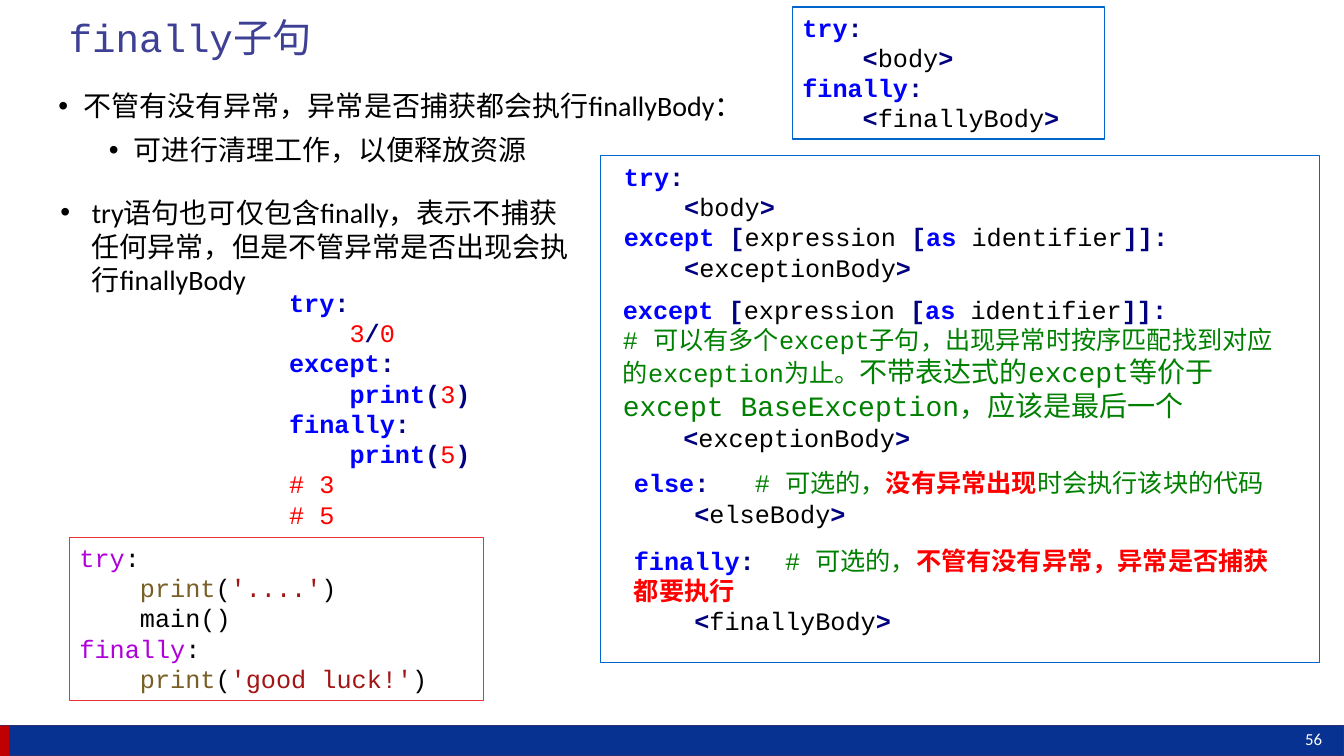
"""Build a slide that explains the finally clause of Python."""
import pptx
import pptx.dml.color
import pptx.enum.shapes
import pptx.enum.text
import pptx.oxml
import pptx.oxml.ns
import pptx.util

Pt = pptx.util.Pt
RGBColor = pptx.dml.color.RGBColor
RECTANGLE = pptx.enum.shapes.MSO_SHAPE.RECTANGLE
ANCHOR = pptx.enum.text.MSO_ANCHOR
LEFT = pptx.enum.text.PP_ALIGN.LEFT
AUTO_SIZE = pptx.enum.text.MSO_AUTO_SIZE

WHITE = RGBColor(0xFF, 0xFF, 0xFF)
BLACK = RGBColor(0x00, 0x00, 0x00)
BLUE = RGBColor(0x00, 0x00, 0xFF)
NAVY = RGBColor(0x00, 0x00, 0x80)
GREEN = RGBColor(0x00, 0x80, 0x00)
RED = RGBColor(0xFF, 0x00, 0x00)
PURPLE = RGBColor(0xAF, 0x00, 0xDB)
BROWN = RGBColor(0x79, 0x5E, 0x26)
MAROON = RGBColor(0xA3, 0x15, 0x15)
INDIGO = RGBColor(0x3E, 0x40, 0x95)
FRAME_BLUE = RGBColor(0x00, 0x66, 0xCC)
FRAME_RED = RGBColor(0xED, 0x32, 0x37)
BAR_BLUE = RGBColor(0x07, 0x32, 0x91)
BAR_EDGE = RGBColor(0x2E, 0x2F, 0x6E)
ACCENT_RED = RGBColor(0xC0, 0x00, 0x00)

CODE = {"name": "Courier New", "size": Pt(18), "bold": False}
BOLD = CODE | {"bold": True}
PROSE = {"name": "Calibri", "size": Pt(20)}
STYLES = {
    "plain": (BLACK, CODE),
    "keyword": (BLUE, BOLD),
    "mark": (NAVY, BOLD),
    "note": (GREEN, CODE),
    "large note": (GREEN, CODE | {"size": Pt(20)}),
    "alert": (RED, BOLD),
    "value": (RED, CODE),
    "control": (PURPLE, CODE),
    "call": (BROWN, CODE),
    "string": (MAROON, CODE),
    "prose": (BLACK, PROSE),
    "title": (INDIGO, CODE | {"size": Pt(28)}),
    "page": (WHITE, PROSE | {"size": Pt(12)}),
}


def write(frame, lines, anchor=ANCHOR.TOP, fit=AUTO_SIZE.SHAPE_TO_FIT_TEXT):
    for attribute, value in {"word_wrap": True, "vertical_anchor": anchor, "auto_size": fit}.items():
        setattr(frame, attribute, value)
    for number, line in enumerate(lines):
        paragraph = frame.add_paragraph() if number else frame.paragraphs[0]
        paragraph.alignment = LEFT
        for style, words in line:
            run = paragraph.add_run()
            run.text = words
            color, formats = STYLES[style]
            run.font.color.rgb = color
            for attribute, value in formats.items():
                setattr(run.font, attribute, value)


def slot(name):
    return [("plain", "    "), ("mark", "<"), ("plain", name), ("mark", ">")]


deck = pptx.Presentation()
deck.slide_width, deck.slide_height = Pt(960), Pt(540)
slide = deck.slides.add_slide(deck.slide_layouts[5])

title = slide.shapes.title
title.left, title.top, title.width, title.height = Pt(41.8), Pt(2.9), Pt(882), Pt(50.4)
write(title.text_frame, [[("title", "finally子句")]], ANCHOR.MIDDLE, AUTO_SIZE.NONE)
title.text_frame.paragraphs[0].line_spacing = 0.9

try_line = [("keyword", "try"), ("mark", ":")]
finally_line = [("keyword", "finally"), ("mark", ":")]
except_line = [
    ("keyword", "except "), ("mark", "["), ("plain", "expression "), ("mark", "["),
    ("keyword", "as"), ("plain", " identifier"), ("mark", "]]:"),
]
short_syntax = [try_line, slot("body"), finally_line, slot("finallyBody")]
try_clause = [try_line, slot("body"), except_line, slot("exceptionBody")]
except_clause = [
    except_line,
    [("note", "# 可以有多个except子句，出现异常时按序匹配找到对应的exception为止。"),
     ("large note", "不带表达式的except等价于except BaseException，应该是最后一个")],
    slot("exceptionBody"),
]
else_clause = [
    [("keyword", "else"), ("mark", ":   "), ("note", "# 可选的，"),
     ("alert", "没有异常出现"), ("note", "时会执行该块的代码")],
    slot("elseBody"),
]
finally_clause = [
    [("keyword", "finally"), ("mark", ":  "), ("note", "# 可选的，"),
     ("alert", "不管有没有异常，异常是否捕获都要执行")],
    slot("finallyBody"),
]
print_3, print_5 = [
    [("plain", "    "), ("keyword", "print"), ("mark", "("), ("value", digit), ("mark", ")")]
    for digit in "35"
]
division_example = [
    try_line,
    [("plain", "    "), ("value", "3"), ("mark", "/"), ("value", "0")],
    [("keyword", "except"), ("mark", ":")],
    print_3,
    finally_line,
    print_5,
    [("value", "# 3")],
    [("value", "# 5")],
]
print_dots, print_luck = [
    [("plain", "    "), ("call", "print"), ("plain", "("), ("string", literal), ("plain", ")")]
    for literal in ("'....'", "'good luck!'")
]
main_example = [
    [("control", "try"), ("plain", ":")],
    print_dots,
    [("plain", "    main()")],
    [("control", "finally"), ("plain", ":")],
    print_luck,
]

panels = [
    ((0, 518.4, 960, 21.6), BAR_BLUE, BAR_EDGE, []),
    ((0, 518.4, 6.5, 21.6), ACCENT_RED, None, []),
    ((566, 5, 223.2, 94.3), WHITE, FRAME_BLUE, short_syntax),
    ((429, 111, 513.4, 362.2), WHITE, FRAME_BLUE, []),
    ((49.7, 383.8, 295.9, 116.6), WHITE, FRAME_RED, main_example),
]
for place, fill, edge, lines in panels:
    panel = slide.shapes.add_shape(RECTANGLE, *map(Pt, place))
    panel.shadow.inherit = False
    panel.fill.solid()
    panel.fill.fore_color.rgb = fill
    if edge is None:
        panel.line.fill.background()
    else:
        panel.line.color.rgb = edge
        panel.line.width = Pt(1)
    if lines:
        write(panel.text_frame, lines)

passages = [
    ((438.5, 111.6, 446.4, 94.3), try_clause),
    ((437.8, 206.6, 480.2, 121), except_clause),
    ((445.7, 330.5, 480.2, 51.1), else_clause),
    ((445.7, 385.9, 480.2, 72.7), finally_clause),
    ((199.4, 201.6, 176.4, 181.4), division_example),
    ((925.2, 517, 34.8, 21.6), [[("page", "56")]]),
]
for place, lines in passages:
    passage = slide.shapes.add_textbox(*map(Pt, place))
    write(passage.text_frame, lines)

bullet_lists = [
    ((34.6, 57.6, 889.2, 442), AUTO_SIZE.NONE, [
        ("不管有没有异常，异常是否捕获都会执行finallyBody：", 0, 18, 18, 1.1, 10),
        ("可进行清理工作，以便释放资源", 1, 54, 18, 1.1, 5),
    ]),
    ((36, 136.1, 383, 79.9), AUTO_SIZE.SHAPE_TO_FIT_TEXT, [
        ("try语句也可仅包含finally，表示不捕获任何异常，但是不管异常是否出现会执行finallyBody",
         0, 22.5, 22.5, 1, 0),
    ]),
]
for place, fit, points in bullet_lists:
    frame = slide.shapes.add_textbox(*map(Pt, place)).text_frame
    write(frame, [[("prose", point[0])] for point in points], fit=fit)
    for paragraph, (_, level, margin, hanging, spacing, before) in zip(frame.paragraphs, points):
        for attribute, value in {
            "level": level, "line_spacing": spacing, "space_before": Pt(before),
        }.items():
            setattr(paragraph, attribute, value)
        properties = paragraph._p.get_or_add_pPr()
        properties.set("marL", str(Pt(margin)))
        properties.set("indent", str(-Pt(hanging)))
        for tag, key, value in (("buFont", "typeface", "Arial"), ("buChar", "char", "•")):
            bullet = pptx.oxml.parse_xml(f'<a:{tag} {pptx.oxml.ns.nsdecls("a")} {key}="{value}"/>')
            properties.append(bullet)

deck.save("out.pptx")
